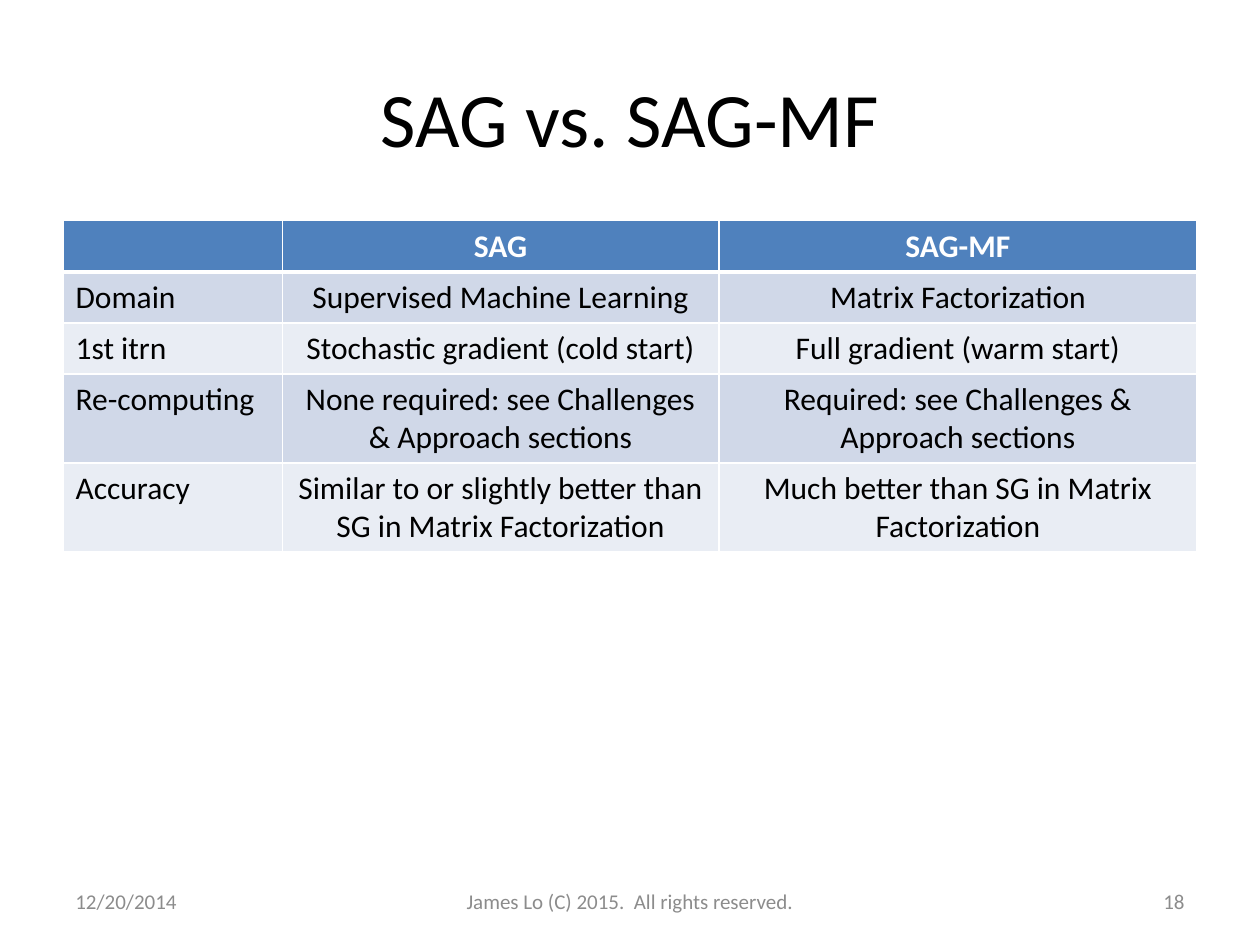
from lxml import etree
from pptx import Presentation
from pptx import util as u
from pptx.dml import color
from pptx.enum import text
from pptx.oxml import ns

COLORS = {
    "ink": "000000",
    "white": "FFFFFF",
    "header": "4F81BD",
    "odd_row": "D0D8E8",
    "even_row": "E9EDF4",
    "footer": "8C8C8C",
}
LEFT, CENTER, RIGHT = text.PP_ALIGN.LEFT, text.PP_ALIGN.CENTER, text.PP_ALIGN.RIGHT
COLUMN_WIDTHS = (4.42, 8.8, 9.64)
ROW_HEIGHTS = (1.03, 1.03, 1.03, 1.79, 1.79)
ROWS = (
    ("", "SAG", "SAG-MF"),
    ("Domain", "Supervised Machine Learning", "Matrix Factorization"),
    ("1st itrn", "Stochastic gradient (cold start)", "Full gradient (warm start)"),
    ("Re-computing", "None required: see Challenges & Approach sections",
     "Required: see Challenges & Approach sections"),
    ("Accuracy", "Similar to or slightly better than SG in Matrix Factorization",
     "Much better than SG in Matrix Factorization"),
)
FOOTERS = (
    ("12/20/2014", 1.27, 5.93, LEFT),
    ("James Lo (C) 2015.  All rights reserved.", 8.68, 8.04, CENTER),
    ("18", 18.2, 5.93, RIGHT),
)


def rgb(name):
    """Return the named palette colour."""
    return color.RGBColor.from_string(COLORS[name])


def write(frame, words, size, ink, align, bold=False):
    """Put one styled paragraph into a text frame."""
    para = frame.paragraphs[0]
    para.text = words
    para.alignment = align
    para.font.name = "Calibri"
    para.font.size = u.Pt(size)
    para.font.bold = bold
    para.font.color.rgb = rgb(ink)


def add_text(page, words, place, size, ink, align):
    """Add a vertically centred text box."""
    box = page.shapes.add_textbox(*(u.Cm(length) for length in place))
    box.text_frame.word_wrap = True
    box.text_frame.vertical_anchor = text.MSO_ANCHOR.MIDDLE
    write(box.text_frame, words, size, ink, align)


def add_borders(cell, widths):
    """Draw white cell borders, given widths in points by side."""
    properties = cell._tc.get_or_add_tcPr()
    for side, width in widths.items():
        line = etree.SubElement(properties, ns.qn(f"a:ln{side}"), w=str(u.Pt(width)))
        fill = etree.SubElement(line, ns.qn("a:solidFill"))
        etree.SubElement(fill, ns.qn("a:srgbClr"), val=COLORS["white"])


def add_comparison(page):
    """Add the table that compares the two methods."""
    frame = page.shapes.add_table(
        len(ROWS), len(COLUMN_WIDTHS), u.Cm(1.27), u.Cm(4.45),
        u.Cm(sum(COLUMN_WIDTHS)), u.Cm(sum(ROW_HEIGHTS)))
    table = frame.table
    for column, width in zip(table.columns, COLUMN_WIDTHS):
        column.width = u.Cm(width)
    for row, height in zip(table.rows, ROW_HEIGHTS):
        row.height = u.Cm(height)
    for r, words in enumerate(ROWS):
        header = r == 0
        shade = "header" if header else "odd_row" if r % 2 else "even_row"
        for c, label in enumerate(words):
            cell = table.cell(r, c)
            add_borders(cell, {"L": 1, "R": 1, "T": 3 if r == 1 else 1,
                               "B": 3 if header else 1})
            cell.fill.solid()
            cell.fill.fore_color.rgb = rgb(shade)
            write(cell.text_frame, label, 18, "white" if header else "ink",
                  CENTER if c else LEFT, header)


def main():
    """Build and save the slide."""
    deck = Presentation()
    deck.slide_width, deck.slide_height = u.Cm(25.4), u.Cm(19.05)
    page = deck.slides.add_slide(deck.slide_layouts[6])
    add_text(page, "SAG vs. SAG-MF", (1.27, 0.76, 22.86, 3.18), 44, "ink", CENTER)
    add_comparison(page)
    for words, left, width, align in FOOTERS:
        add_text(page, words, (left, 17.66, width, 1.01), 12, "footer", align)
    deck.save("out.pptx")


if __name__ == "__main__":
    main()
